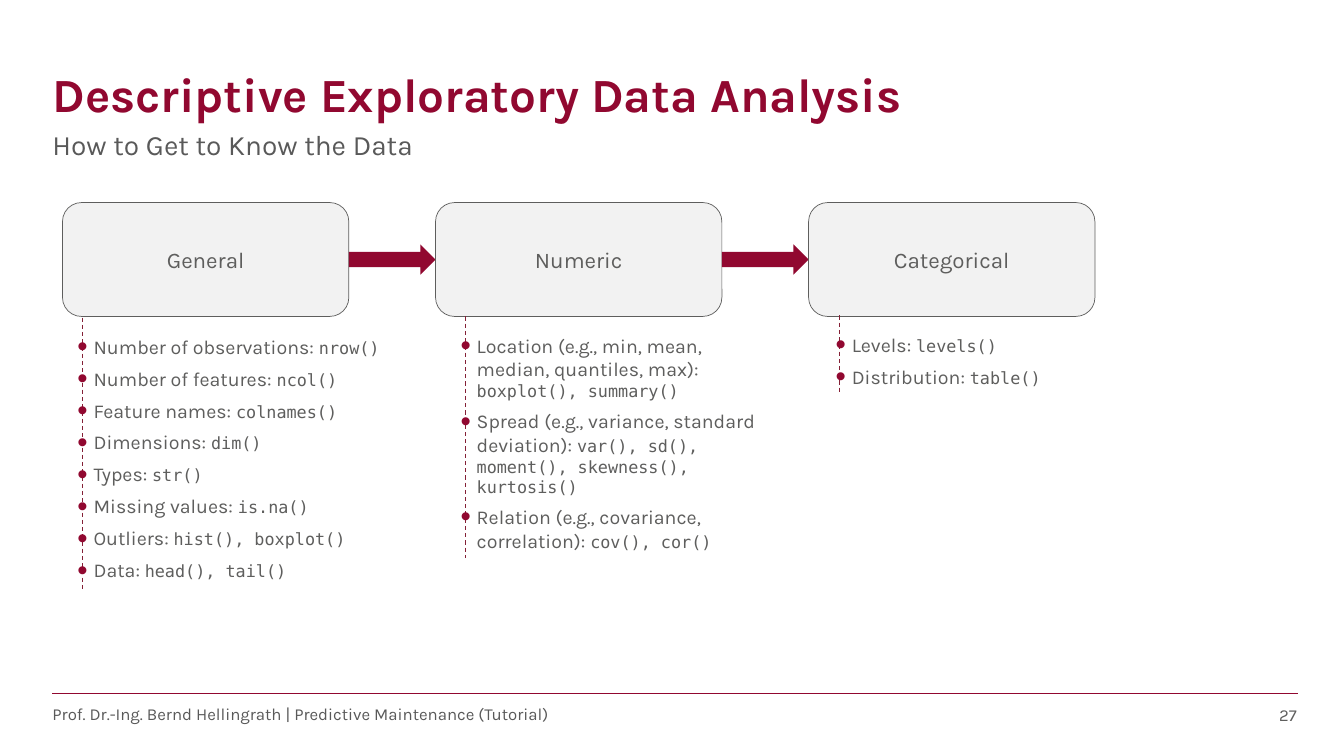
"""Build the slide on descriptive exploratory data analysis."""
from lxml import etree
from pptx import Presentation
from pptx.dml.color import RGBColor
from pptx.enum.dml import MSO_LINE
from pptx.enum.shapes import MSO_CONNECTOR, MSO_SHAPE
from pptx.enum.text import MSO_ANCHOR, MSO_AUTO_SIZE, PP_ALIGN
from pptx.oxml.ns import qn
from pptx.util import Inches, Pt

LEFT, CENTER, RIGHT = PP_ALIGN.LEFT, PP_ALIGN.CENTER, PP_ALIGN.RIGHT
TOP, MIDDLE, BOTTOM = MSO_ANCHOR.TOP, MSO_ANCHOR.MIDDLE, MSO_ANCHOR.BOTTOM
STRAIGHT, DASH = MSO_CONNECTOR.STRAIGHT, MSO_LINE.DASH
ROUNDED, ARROW = MSO_SHAPE.ROUNDED_RECTANGLE, MSO_SHAPE.RIGHT_ARROW
NO_AUTOFIT = MSO_AUTO_SIZE.NONE
CRIMSON, WINE, GRAY, TEXT_GRAY, PALE = "910830", "842036", "5E5E5D", "595959", "F2F2F2"
BODY_FONT, CODE_FONT = "Karla", "DejaVu Sans Mono"
BOX_LEFT, BOX_TOP, BOX_WIDTH, BOX_HEIGHT = 0.62, 2.01, 2.84, 1.13
BOX_STEP, ARROW_HEIGHT = 3.7, 0.3


def write(frame, rows, size=14, color=GRAY, bold=False, align=LEFT, anchor=TOP,
          margins=(0.1, 0.05), spacing=None, bullets=False):
    """Fill a text frame with rows of (label, code) pairs."""
    frame.word_wrap = True
    frame.auto_size = NO_AUTOFIT
    frame.vertical_anchor = anchor
    frame.margin_left = frame.margin_right = Inches(margins[0])
    frame.margin_top = frame.margin_bottom = Inches(margins[1])
    for index, row in enumerate(rows):
        para = frame.add_paragraph() if index else frame.paragraphs[0]
        properties = para._p.get_or_add_pPr()
        indent = Inches(0.16) if bullets else 0
        properties.set("marL", str(indent))
        properties.set("indent", str(-indent))
        if bullets:
            bullet_color = etree.SubElement(properties, qn("a:buClr"))
            etree.SubElement(bullet_color, qn("a:srgbClr"), val=CRIMSON)
            etree.SubElement(properties, qn("a:buSzPct"), val="150000")
            etree.SubElement(properties, qn("a:buFont"), typeface="Arial")
            etree.SubElement(properties, qn("a:buChar"), char="•")
        else:
            etree.SubElement(properties, qn("a:buNone"))
        para.alignment = align
        para.space_before = Pt(6 if index else 0)
        if spacing:
            para.line_spacing = spacing
        for text, font, points in zip(row, (BODY_FONT, CODE_FONT), (size, 12)):
            span = para.add_run()
            span.text = text
            span.font.name = font
            span.font.size = Pt(points)
            span.font.bold = bold
            span.font.color.rgb = RGBColor.from_string(color)


def draw_line(shapes, start, end, color):
    """Add a thin straight line and return it."""
    line = shapes.add_connector(STRAIGHT, *map(Inches, start + end))
    line.line.color.rgb = RGBColor.from_string(color)
    line.line.width = Pt(0.75)
    etree.SubElement(line._element.spPr, qn("a:effectLst"))
    return line


deck = Presentation()
deck.slide_width, deck.slide_height = Inches(13.33), Inches(7.5)
page = deck.slides.add_slide(deck.slide_layouts[1])
shapes = page.shapes

draw_line(shapes, (0.52, 6.88), (12.87, 6.88), CRIMSON)
footer = shapes.add_textbox(Inches(0.52), Inches(7), Inches(7.09), Inches(0.24))
write(footer.text_frame, [("Prof. Dr.-Ing. Bernd Hellingrath | Predictive Maintenance (Tutorial)",)],
      size=12, color=TEXT_GRAY, margins=(0, 0), spacing=0.9)
number = shapes.add_textbox(Inches(12.25), Inches(6.94), Inches(0.71), Inches(0.3))
write(number.text_frame, [("27",)], size=12, align=RIGHT)

title, subtitle = shapes.title, page.placeholders[1]
for holder, top, height in ((title, 0.56, 0.66), (subtitle, 1.3, 0.3)):
    holder.left, holder.top = Inches(0.52), Inches(top)
    holder.width, holder.height = Inches(10.36), Inches(height)
write(title.text_frame, [("Descriptive Exploratory Data Analysis",)], size=34,
      color=CRIMSON, bold=True, anchor=BOTTOM, margins=(0, 0), spacing=0.9)
write(subtitle.text_frame, [("How to Get to Know the Data",)], size=20,
      color=TEXT_GRAY, margins=(0, 0), spacing=0.9)

general = [
    ("Number of observations: ", "nrow()"),
    ("Number of features: ", "ncol()"),
    ("Feature names: ", "colnames()"),
    ("Dimensions: ", "dim()"),
    ("Types: ", "str()"),
    ("Missing values: ", "is.na()"),
    ("Outliers: ", "hist(), boxplot()"),
    ("Data: ", "head(), tail()"),
]
numeric = [
    ("Location (e.g., min, mean, median, quantiles, max): ", "boxplot(), summary()"),
    ("Spread (e.g., variance, standard deviation): ",
     "var(), sd(), moment(), skewness(), kurtosis()"),
    ("Relation (e.g., covariance, correlation): ", "cov(), cor()"),
]
categorical = [("Levels: ", "levels()"), ("Distribution: ", "table()")]

steps = [
    ("General", general, (0.67, 3.27, 3.24, 2.57), (0.82, 3.15, 5.86)),
    ("Numeric", numeric, (4.47, 3.26, 3.3, 2.29), (4.62, 3.14, 5.54)),
    ("Categorical", categorical, (8.19, 3.25, 2.36, 0.66), (8.33, 3.13, 3.9)),
]
for index, (name, rows, area, (stem_x, stem_top, stem_bottom)) in enumerate(steps):
    left = BOX_LEFT + index * BOX_STEP
    box = shapes.add_shape(ROUNDED, Inches(left), Inches(BOX_TOP),
                           Inches(BOX_WIDTH), Inches(BOX_HEIGHT))
    box.shadow.inherit = False
    box.fill.solid()
    box.fill.fore_color.rgb = RGBColor.from_string(PALE)
    box.line.color.rgb = RGBColor.from_string(GRAY)
    box.line.width = Pt(0.5)
    write(box.text_frame, [(name,)], size=16, align=CENTER, anchor=MIDDLE)

    if index < len(steps) - 1:
        arrow = shapes.add_shape(
            ARROW, Inches(left + BOX_WIDTH), Inches(BOX_TOP + (BOX_HEIGHT - ARROW_HEIGHT) / 2),
            Inches(BOX_STEP - BOX_WIDTH), Inches(ARROW_HEIGHT))
        arrow.shadow.inherit = False
        arrow.fill.solid()
        arrow.fill.fore_color.rgb = RGBColor.from_string(CRIMSON)
        arrow.line.fill.background()

    stem = draw_line(shapes, (stem_x, stem_top), (stem_x, stem_bottom), WINE)
    stem.line.dash_style = DASH
    details = shapes.add_textbox(*map(Inches, area))
    write(details.text_frame, rows, bullets=True)

deck.save("out.pptx")
